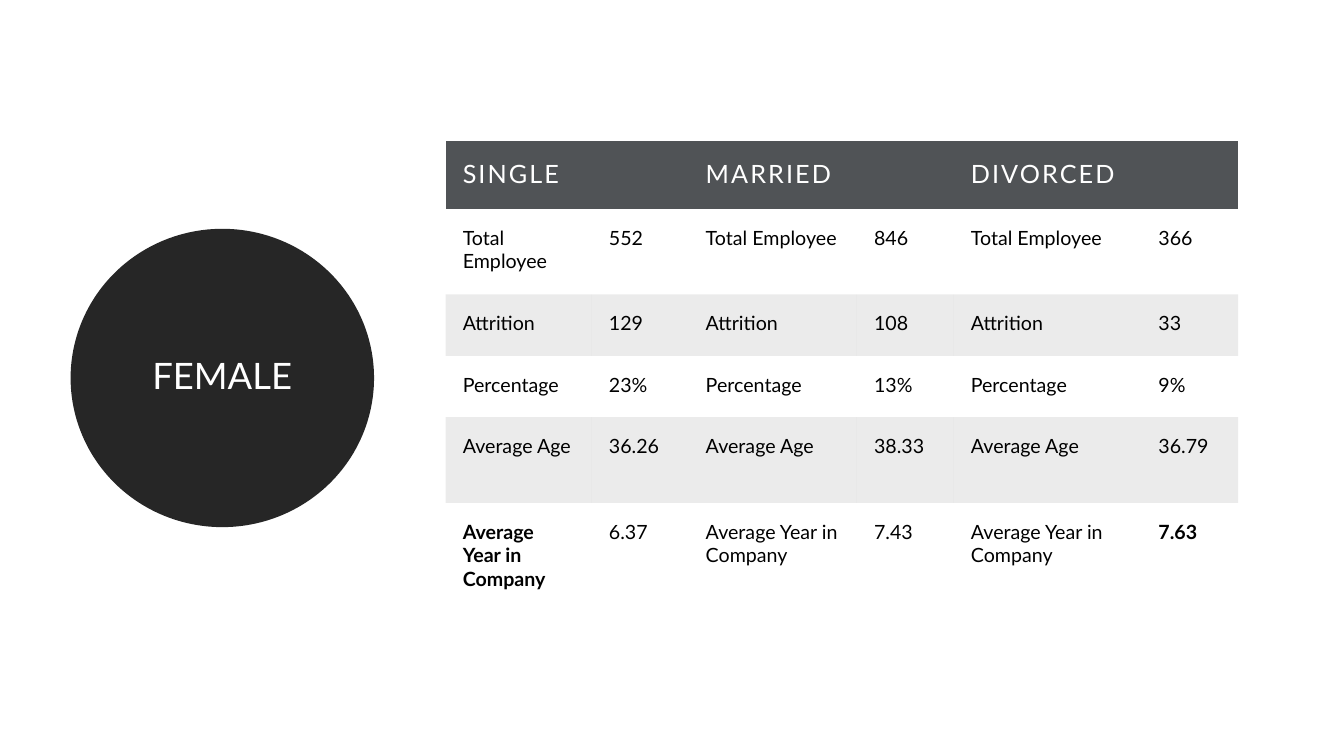
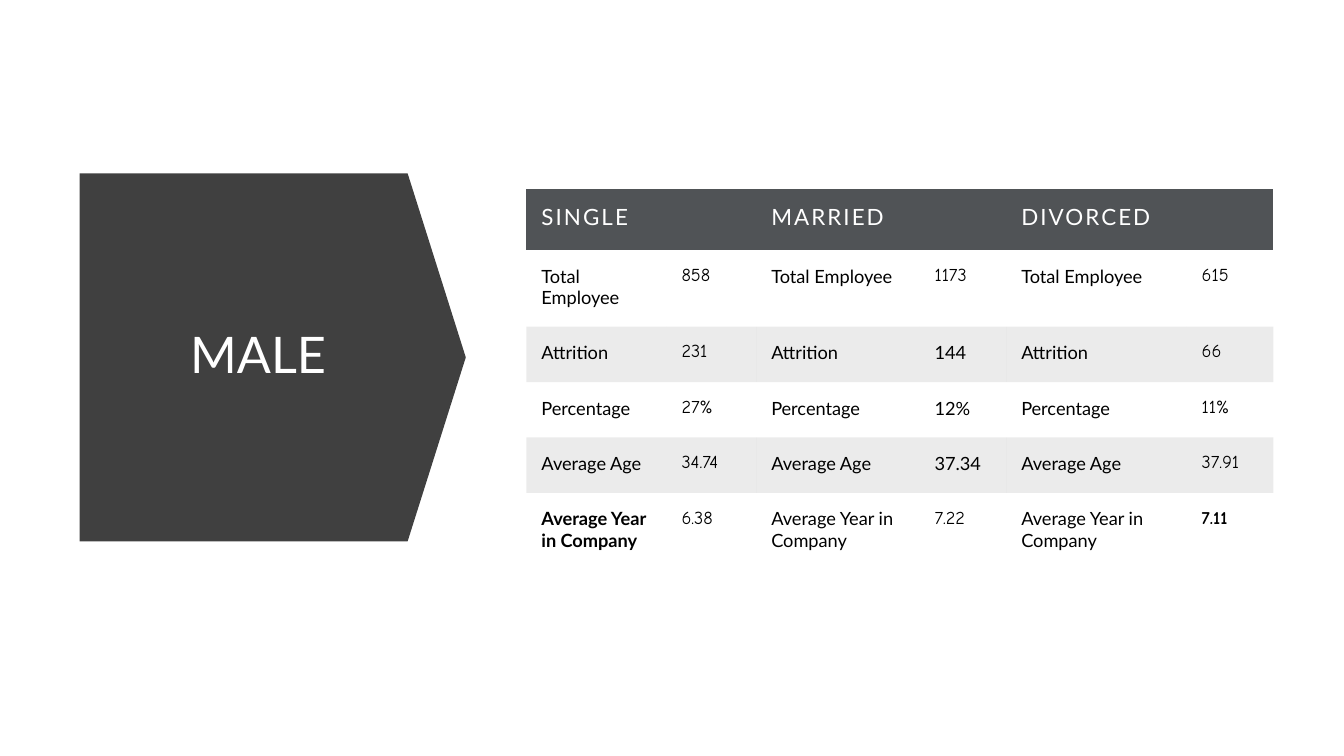
import lxml.etree
import pptx
import pptx.dml.color
import pptx.enum.shapes
import pptx.enum.text
import pptx.oxml.ns
import pptx.util

Inches = pptx.util.Inches
SHAPES = pptx.enum.shapes.MSO_SHAPE

THEME = {
    "white": "FFFFFF",
    "black": "000000",
    "circle": "262626",
    "arrow": "404040",
    "header": "505356",
    "band_opacity": 8,
    "font": "Lato",
    "number_font": "Comic Neue",
    "header_spacing": 1.5,
    "plain_table_style": "{2D5ABB26-0587-4C30-8999-92F81FD0307C}",
}
STATUSES = ["SINGLE", "MARRIED", "DIVORCED"]
MEASURES = ["Total Employee", "Attrition", "Percentage", "Average Age", "Average Year in Company"]

GROUPS = [
    {
        "label": "FEMALE", "label_size": 26, "label_box": (0.7, 2.27, 3.01, 2.96),
        "shape": SHAPES.OVAL, "shape_box": (0.7, 2.27, 3.01, 2.96), "shape_color": THEME["circle"],
        "rotation": 0, "adjustments": [],
        "table_at": (4.42, 1.4), "inset": 0.17, "header_size": 18, "body_size": 14,
        "columns": [1.45, 0.96, 1.67, 0.96, 1.86, 0.96],
        "rows": [0.67, 0.85, 0.61, 0.61, 0.85, 1.09],
        "values": [
            ["552", "846", "366"],
            ["129", "108", "33"],
            ["23%", "13%", "9%"],
            ["36.26", "38.33", "36.79"],
            ["6.37", "7.43", "7.63"],
        ],
        "number_font": THEME["font"], "plain_numbers": [],
    },
    {
        "label": "MALE", "label_size": 36, "label_box": (1.12, 2.15, 2.88, 2.79),
        "shape": SHAPES.DOWN_ARROW, "shape_box": (0.88, 1.63, 3.65, 3.83), "shape_color": THEME["arrow"],
        "rotation": 270, "adjustments": [1, 0.158],
        "table_at": (5.22, 1.87), "inset": 0.15, "header_size": 16, "body_size": 13,
        "columns": [1.39, 0.89, 1.62, 0.86, 1.79, 0.86],
        "rows": [0.61, 0.76, 0.55, 0.55, 0.55, 0.76],
        "values": [
            ["858", "1173", "615"],
            ["231", "144", "66"],
            ["27%", "12%", "11%"],
            ["34.74", "37.34", "37.91"],
            ["6.38", "7.22", "7.11"],
        ],
        "number_font": THEME["number_font"], "plain_numbers": ["144", "12%", "37.34"],
    },
]


def rgb(name):
    return pptx.dml.color.RGBColor.from_string(name)


def add_text(paragraph, text, size, color, font=THEME["font"], bold=False):
    run = paragraph.add_run()
    run.text = text
    run.font.size = pptx.util.Pt(size)
    run.font.name = font
    run.font.bold = bold
    run.font.color.rgb = rgb(color)
    return run


presentation = pptx.Presentation()
presentation.slide_width = Inches(13.33)
presentation.slide_height = Inches(7.5)

for group in GROUPS:
    slide = presentation.slides.add_slide(presentation.slide_layouts[6])

    # Dark shape with the group name
    shape = slide.shapes.add_shape(group["shape"], *map(Inches, group["shape_box"]))
    shape.shadow.inherit = False
    shape.rotation = group["rotation"]
    for index, adjustment in enumerate(group["adjustments"]):
        shape.adjustments[index] = adjustment
    shape.fill.solid()
    shape.fill.fore_color.rgb = rgb(group["shape_color"])
    shape.line.fill.background()

    # A rotated shape would turn its text, so its name stands in an upright box
    label = shape
    if group["rotation"]:
        label = slide.shapes.add_textbox(*map(Inches, group["label_box"]))
    frame = label.text_frame
    frame.word_wrap = True
    frame.vertical_anchor = pptx.enum.text.MSO_ANCHOR.MIDDLE
    paragraph = frame.paragraphs[0]
    paragraph.alignment = pptx.enum.text.PP_ALIGN.CENTER
    paragraph.line_spacing = 0.9
    paragraph.space_after = pptx.util.Pt(6)
    add_text(paragraph, group["label"], group["label_size"], THEME["white"])

    # Table: one pair of columns (measure, value) for each marital status
    left, top = group["table_at"]
    width, height = sum(group["columns"]), sum(group["rows"])
    table = slide.shapes.add_table(
        len(group["rows"]), len(group["columns"]),
        Inches(left), Inches(top), Inches(width), Inches(height),
    ).table
    table.first_row = False
    table.horz_banding = False
    table._tbl.tblPr.find(pptx.oxml.ns.qn("a:tableStyleId")).text = THEME["plain_table_style"]
    for column, column_width in zip(table.columns, group["columns"]):
        column.width = Inches(column_width)
    for row, row_height in zip(table.rows, group["rows"]):
        row.height = Inches(row_height)

    last_row = len(MEASURES)
    last_column = len(group["columns"]) - 1
    for row_index in range(last_row + 1):
        for column_index in range(last_column + 1):
            cell = table.cell(row_index, column_index)
            cell.margin_left = cell.margin_right = Inches(group["inset"])
            cell.margin_top = cell.margin_bottom = Inches(group["inset"])
            paragraph = cell.text_frame.paragraphs[0]
            status_index, is_value = divmod(column_index, 2)

            if row_index == 0:
                cell.fill.solid()
                cell.fill.fore_color.rgb = rgb(THEME["header"])
                if not is_value:
                    run = add_text(paragraph, STATUSES[status_index], group["header_size"], THEME["white"])
                    run.font._element.set("spc", str(int(THEME["header_spacing"] * 100)))
                continue

            if row_index % 2 == 0:
                cell.fill.solid()
                cell.fill.fore_color.rgb = rgb(THEME["black"])
                color = cell._tc.tcPr.find(".//" + pptx.oxml.ns.qn("a:srgbClr"))
                alpha = lxml.etree.SubElement(color, pptx.oxml.ns.qn("a:alpha"))
                alpha.set("val", str(THEME["band_opacity"] * 1000))
            else:
                cell.fill.background()

            text = MEASURES[row_index - 1]
            font = THEME["font"]
            if is_value:
                text = group["values"][row_index - 1][status_index]
                if text not in group["plain_numbers"]:
                    font = group["number_font"]
            bold = row_index == last_row and column_index in (0, last_column)
            add_text(paragraph, text, group["body_size"], THEME["black"], font, bold)

presentation.save("out.pptx")
